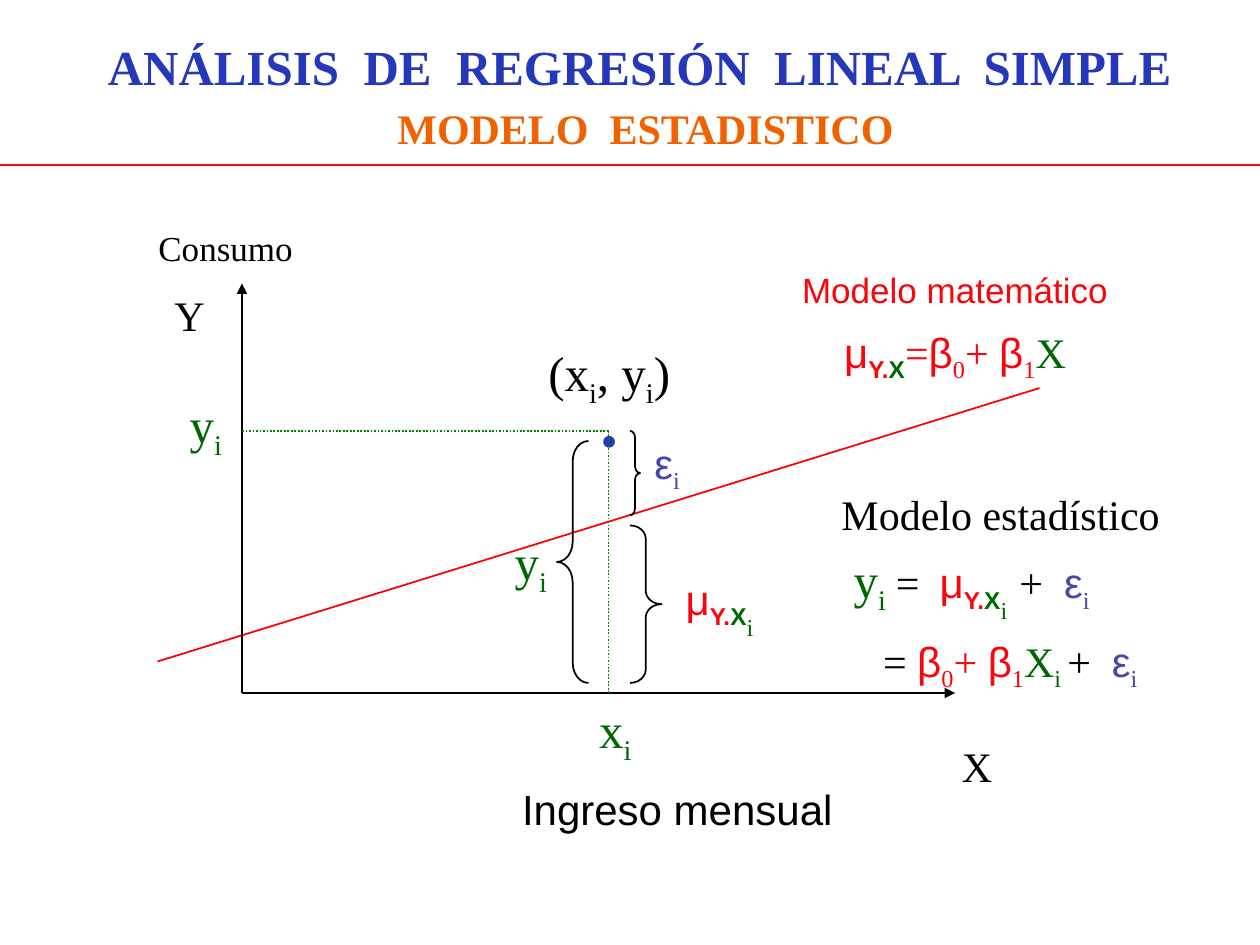
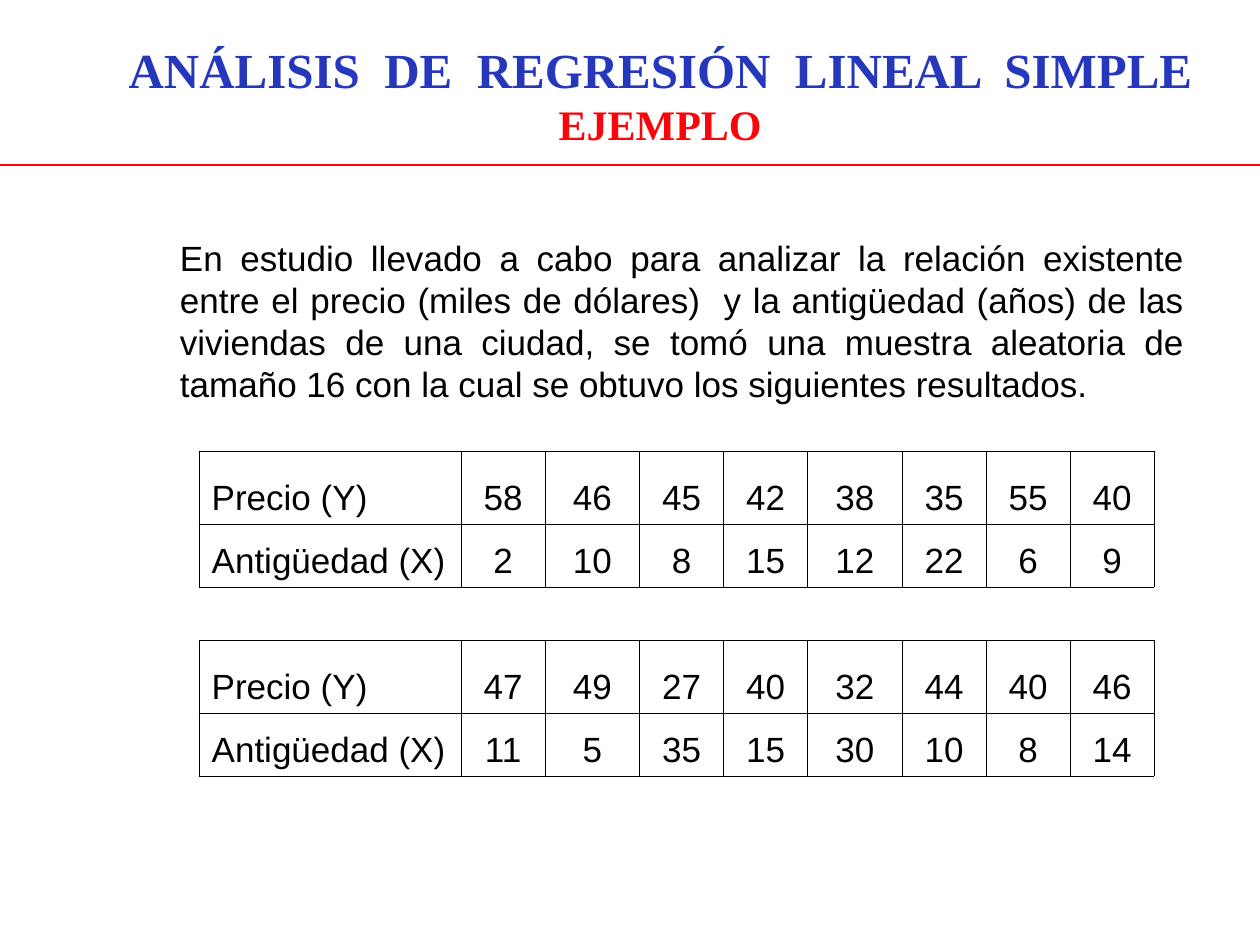
from dataclasses import dataclass

from lxml.etree import SubElement
from pptx import Presentation
from pptx.dml.color import RGBColor
from pptx.enum.dml import MSO_LINE as Dash
from pptx.enum.shapes import MSO_CONNECTOR as Connector, MSO_SHAPE as Shape
from pptx.enum.text import MSO_ANCHOR as Anchor, MSO_AUTO_SIZE as AutoSize, PP_ALIGN as Align
from pptx.oxml.ns import qn
from pptx.util import Inches, Pt


@dataclass(frozen=True)
class Theme:
    serif: str = "Times New Roman"
    sans: str = "Arial"
    blue: str = "2537BB"
    orange: str = "F06100"
    red: str = "F9050B"
    regression: str = "FF0000"
    green: str = "006600"
    guide: str = "008000"
    violet: str = "4848A8"
    black: str = "000000"
    large: int = 28
    medium: int = 24
    small: int = 20


@dataclass(frozen=True)
class Span:
    text: str
    color: str = Theme.black
    size: int = Theme.medium
    font: str = Theme.serif
    bold: bool = False
    baseline: int = 0


def sub(text, color, **style):
    return Span(text, color, **{"baseline": -25, **style})


def greek(text, color):
    return Span(text, color, font=Theme.sans)


def variable(letter):
    return [Span(f" {letter}", Theme.green, Theme.large), sub("i", Theme.green, size=Theme.large)]


def plain(text, size=Theme.medium, font=Theme.serif, color=Theme.black):
    return [Span(text, color, size, font)]


MEAN = [
    greek("μ", Theme.red),
    sub("Y.", Theme.red, font=Theme.sans, bold=True),
    sub("X", Theme.green, font=Theme.sans, bold=True),
]
LINE = [
    greek("β", Theme.red), sub("0", Theme.red), Span("+ ", Theme.red),
    greek("β", Theme.red), sub("1", Theme.red), Span("X", Theme.green),
]
ERROR = [greek("ε", Theme.violet), sub("i", Theme.violet)]
GAP = Span(" ", Theme.red, Theme.small, Theme.sans)
POINT = [
    Span("(x", size=Theme.large), sub("i", Theme.black, size=Theme.large),
    Span(", y", size=Theme.large), sub("i", Theme.black, size=Theme.large),
    Span(")", size=Theme.large),
]

TITLE = "ANÁLISIS  DE  REGRESIÓN  LINEAL  SIMPLE"
RULE_Y = 1.31

ORIGIN = (1.92, 5.5)
AXIS_TOP, AXIS_END = 2.25, 7.58
OBSERVED = (4.83, 3.42)
REGRESSION = ((1.25, 5.25), (8.25, 3.08))

LABELS = [
    ((7.42, 5.83, 0.67, 0.5), 15, [plain("X")]),
    ((1.17, 2.25, 0.67, 0.5), 15, [plain("Y")]),
    ((4, 6.17, 2.75, 0.5), 15, [plain("Ingreso mensual", font=Theme.sans)]),
    ((1.08, 1.75, 1.42, 0.44), 0, [plain("Consumo", Theme.small)]),
    ((4.17, 2.67, 1.33, 1.1), 0, [POINT, plain("•", Theme.large, color=Theme.blue)]),
    ((4.5, 5.5, 0.67, 0.63), 17.5, [variable("x")]),
    ((1.25, 3.08, 0.67, 0.63), 17.5, [variable("y")]),
    ((3.83, 4.17, 0.67, 0.63), 17.5, [variable("y")]),
    ((5.17, 4.5, 1.08, 0.64), 15, [MEAN + [sub("i", Theme.green, baseline=-50)]]),
    ((4.92, 3.42, 0.75, 0.56), 15, [ERROR]),
    ((6.08, 2.08, 3, 1.02), 9, [
        plain("Modelo matemático", Theme.small, Theme.sans, Theme.red),
        MEAN + [Span("=", Theme.red)] + LINE,
    ]),
]
STATISTICAL_BOX = (6.58, 3.83, 2.92, 1.72)
STATISTICAL_MODEL = [
    plain("Modelo estadístico"),
    variable("y") + [GAP, Span("= "), GAP] + MEAN
    + [sub("i  ", Theme.green, baseline=-50), Span("+  ")] + ERROR,
    [Span("= ")] + LINE + [sub("i ", Theme.green), Span("+  ")] + ERROR,
]
BRACES = [
    (Shape.LEFT_BRACE, (4.42, 3.5, 0.25, 1.92), 0.64),
    (Shape.RIGHT_BRACE, (5, 4.17, 0.25, 1.25), 0.42),
    (Shape.RIGHT_BRACE, (5, 3.42, 0.08, 0.67), 0.67),
]

STUDY = (
    "En estudio llevado a cabo para analizar la relación existente entre el precio "
    "(miles de dólares)  y la antigüedad (años) de las viviendas de una ciudad, se tomó "
    "una muestra aleatoria de tamaño 16 con la cual se obtuvo los siguientes resultados."
)
ROW_NAMES = ["Precio (Y)", "Antigüedad (X)"]
SAMPLES = [
    ([58, 46, 45, 42, 38, 35, 55, 40], [2, 10, 8, 15, 12, 22, 6, 9]),
    ([47, 49, 27, 40, 32, 44, 40, 46], [11, 5, 35, 15, 30, 10, 8, 14]),
]
NARROW, WIDE = 2 / 3, 0.75
COLUMNS = [2.08] + [NARROW, WIDE, NARROW, NARROW] + [WIDE, NARROW, NARROW, NARROW]
ROWS = [0.58, 0.5]
TABLE_LEFT, TABLE_TOP, TABLE_STEP = 1.58, 3.58, 1.5


def inches(values):
    return [Inches(value) for value in values]


def rgb(color):
    return RGBColor.from_string(color)


def set_font(font, span):
    font.name, font.size, font.bold = span.font, Pt(span.size), span.bold
    font.color.rgb = rgb(span.color)


def write(para, spans):
    for span in spans:
        run = para.add_run()
        run.text = span.text
        set_font(run.font, span)
        if span.baseline:
            run.font._element.set("baseline", str(span.baseline * 1000))


def add_text(page, place, paragraphs, align=Align.CENTER, before=0):
    frame = page.shapes.add_textbox(*inches(place)).text_frame
    frame.word_wrap = True
    for index, spans in enumerate(paragraphs):
        para = frame.add_paragraph() if index else frame.paragraphs[0]
        para.alignment, para.space_before = align, Pt(before)
        write(para, spans)
    return frame


def add_line(page, start, end, color, width, dash=None, arrow=False):
    line = page.shapes.add_connector(Connector.STRAIGHT, *inches(start + end))
    line.line.color.rgb, line.line.width = rgb(color), Pt(width)
    if dash:
        line.line.dash_style = dash
    if arrow:
        SubElement(line.line._get_or_add_ln(), qn("a:tailEnd"), type="triangle")
    SubElement(line._element.spPr, qn("a:effectLst"))


def add_brace(page, kind, place, curve):
    brace = page.shapes.add_shape(kind, *inches(place))
    brace.adjustments[0] = curve
    brace.shadow.inherit = False
    brace.fill.background()
    brace.line.color.rgb, brace.line.width = rgb(Theme.black), Pt(1)


def add_page(deck, place, subtitle):
    page = deck.slides.add_slide(deck.slide_layouts[5])
    title = page.shapes.title
    title.left, title.top, title.width, title.height = inches(place)
    frame = title.text_frame
    frame.auto_size, frame.vertical_anchor = AutoSize.NONE, Anchor.MIDDLE
    para = frame.paragraphs[0]
    para.alignment = Align.CENTER
    write(para, [Span(TITLE, Theme.blue, Theme.large, bold=True)])
    para.add_line_break()
    write(para, subtitle)
    add_line(page, (0, RULE_Y), (10, RULE_Y), Theme.red, 1.5)
    return page


def style_cell(cell, text, align):
    cell.vertical_anchor = Anchor.BOTTOM
    properties = cell._tc.get_or_add_tcPr()
    for side in ("lnL", "lnR", "lnT", "lnB"):
        border = SubElement(properties, qn(f"a:{side}"), w=str(Pt(0.45)))
        SubElement(SubElement(border, qn("a:solidFill")), qn("a:srgbClr"), val=Theme.black)
    cell.fill.background()
    cell.text = str(text)
    para = cell.text_frame.paragraphs[0]
    para.alignment = align
    set_font(para.font, Span("", size=Theme.small, font=Theme.sans))


def add_sample(page, top, sample):
    place = (TABLE_LEFT, top, sum(COLUMNS), sum(ROWS))
    table = page.shapes.add_table(len(ROWS), len(COLUMNS), *inches(place)).table
    table.first_row = table.horz_banding = False
    for column, width in zip(table.columns, COLUMNS):
        column.width = Inches(width)
    for row, height, name, values in zip(table.rows, ROWS, ROW_NAMES, sample):
        row.height = Inches(height)
        for index, (cell, text) in enumerate(zip(row.cells, [name, *values])):
            style_cell(cell, text, Align.CENTER if index else Align.LEFT)


def build_model(deck):
    subtitle = [
        Span(" ", Theme.blue, Theme.large, bold=True),
        Span("MODELO  ESTADISTICO", Theme.orange, bold=True),
    ]
    page = add_page(deck, (0.51, 0.13, 9.13, 1.25), subtitle)
    add_line(page, *REGRESSION, Theme.regression, 1)
    for end in ((ORIGIN[0], AXIS_TOP), (AXIS_END, ORIGIN[1])):
        add_line(page, ORIGIN, end, Theme.black, 1.5, arrow=True)
    for place, before, paragraphs in LABELS:
        add_text(page, place, paragraphs, before=before)
    for end in ((OBSERVED[0], ORIGIN[1]), (ORIGIN[0], OBSERVED[1])):
        add_line(page, OBSERVED, end, Theme.guide, 1, Dash.ROUND_DOT)
    for brace in BRACES:
        add_brace(page, *brace)
    model = add_text(page, STATISTICAL_BOX, STATISTICAL_MODEL, Align.LEFT, 6)
    model.paragraphs[-1]._p.get_or_add_pPr().set("marL", str(Inches(0.33)))


def build_example(deck):
    subtitle = [Span("EJEMPLO", Theme.red, bold=True)]
    page = add_page(deck, (0.83, 0.21, 8.82, 1.08), subtitle)
    study = plain(STUDY, Theme.small, Theme.sans)
    add_text(page, (1.33, 1.83, 8.17, 1.44), [study], Align.JUSTIFY, 12.5)
    for index, sample in enumerate(SAMPLES):
        add_sample(page, TABLE_TOP + index * TABLE_STEP, sample)


def main():
    deck = Presentation()
    deck.slide_width, deck.slide_height = Inches(10), Inches(7.5)
    build_model(deck)
    build_example(deck)
    deck.save("out.pptx")


if __name__ == "__main__":
    main()
